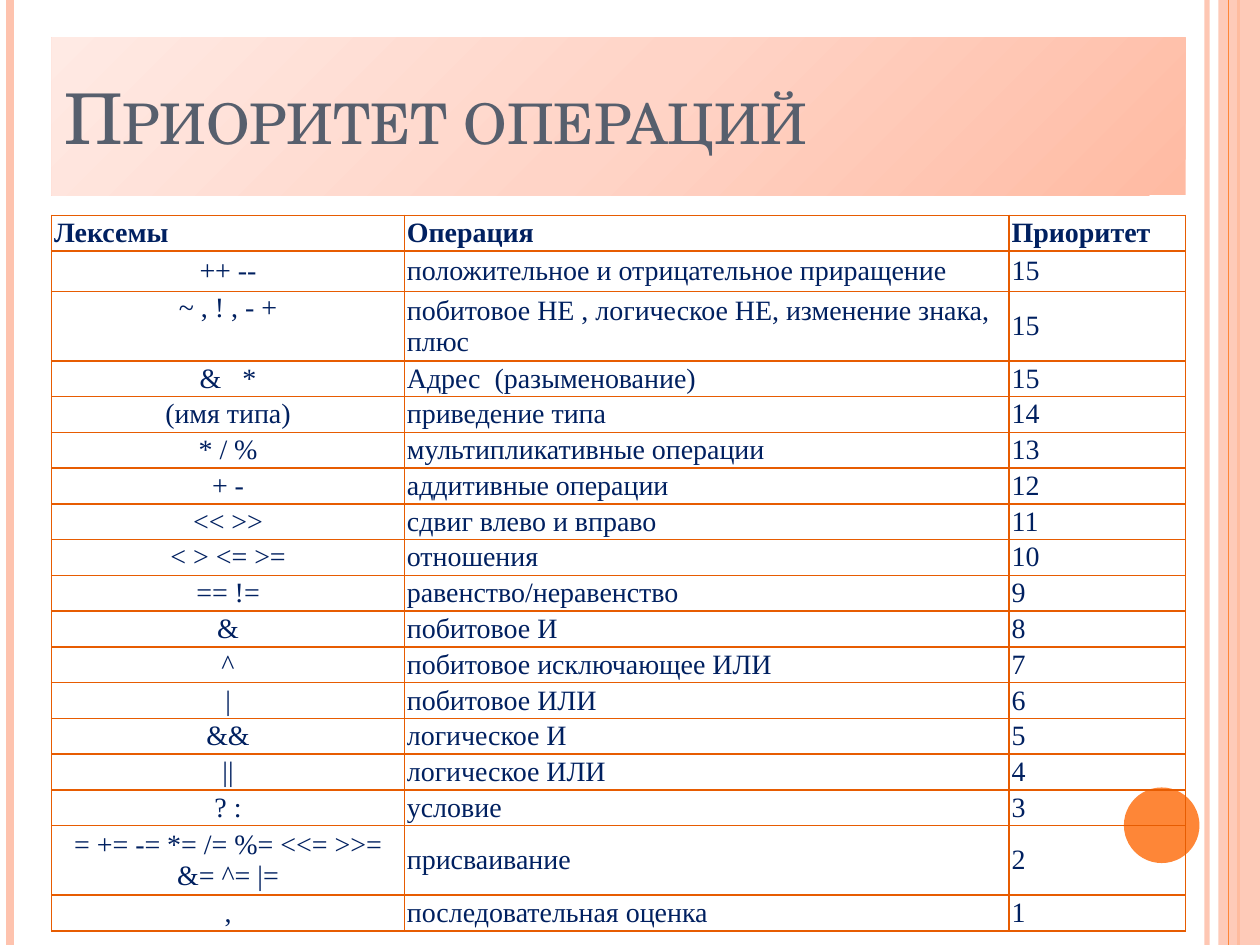
import copy
from dataclasses import dataclass

import pptx
import pptx.dml.color
import pptx.enum.shapes
import pptx.enum.text
import pptx.oxml.ns
import pptx.util
from lxml import etree

Inches = pptx.util.Inches
Pt = pptx.util.Pt
Shape = pptx.enum.shapes.MSO_SHAPE
Anchor = pptx.enum.text.MSO_ANCHOR
Align = pptx.enum.text.PP_ALIGN
qn = pptx.oxml.ns.qn


@dataclass(frozen=True)
class Theme:
    """Colours, fonts and type sizes."""
    pale: str = "FEC3AE"
    orange: str = "FE8637"
    border: str = "E75C01"
    ink: str = "002060"
    slate: str = "575F6D"
    blend: tuple = ("FFBBA3", "FFD4C7", "FFEAE4")
    head: str = "TeX Gyre Schola"
    body: str = "Times New Roman"
    big: int = 40
    small: int = 16


THEME = Theme()
ROWS = [
    ("Лексемы", "Операция", "Приоритет"),
    ("++ --", "положительное и отрицательное приращение", "15"),
    ("~ , ! , - +", "побитовое НЕ , логическое НЕ, изменение знака, плюс", "15"),
    ("&   *", "Адрес  (разыменование)", "15"),
    ("(имя типа)", "приведение типа", "14"),
    ("* / %", "мультипликативные операции", "13"),
    ("+ -", "аддитивные операции", "12"),
    ("<< >>", "сдвиг влево и вправо", "11"),
    ("< > <= >=", "отношения", "10"),
    ("== !=", "равенство/неравенство", "9"),
    ("&", "побитовое И", "8"),
    ("^", "побитовое исключающее ИЛИ", "7"),
    ("|", "побитовое ИЛИ", "6"),
    ("&&", "логическое И", "5"),
    ("||", "логическое ИЛИ", "4"),
    ("? :", "условие", "3"),
    ("= += -= *= /= %= <<= >>= &= ^= |=", "присваивание", "2"),
    (",", "последовательная оценка", "1"),
]
TALL = {1: 0.32, 2: 0.55, 16: 0.55}
COLS = (2.8, 4.8, 1.4)


def rgb(code):
    """Return the colour for a hex code."""
    return pptx.dml.color.RGBColor.from_string(code)


def fade(part, share):
    """Set the opacity of the colours in a part, in percent."""
    for node in part.iter(qn("a:srgbClr")):
        etree.SubElement(node, qn("a:alpha"), val=str(share * 1000))


def style(para, face, size, color, bold=False):
    """Set the font of a paragraph."""
    font = para.font
    font.name, font.size, font.bold = face, Pt(size), bold
    font.color.rgb = rgb(color)


def stripe(slide, box, x, color, width, share=100):
    """Draw a line down the box at an offset from its left."""
    left, top, _, height = box
    x = Inches(left + x)
    line = slide.shapes.add_connector(
        pptx.enum.shapes.MSO_CONNECTOR.STRAIGHT,
        x, Inches(top), x, Inches(top + height))
    line.line.color.rgb = rgb(color)
    line.line.width = Pt(width)
    etree.SubElement(line._element.spPr, qn("a:effectLst"))
    if share < 100:
        fade(line._element.spPr, share)


def solid(slide, kind, box, color):
    """Add a plain filled shape."""
    shape = slide.shapes.add_shape(kind, *map(Inches, box))
    shape.shadow.inherit = False
    shape.fill.solid()
    shape.fill.fore_color.rgb = rgb(color)
    shape.line.fill.background()
    return shape


def frame(slide, box):
    """Draw the side stripes and the disc."""
    left, top, width, height = box
    right = left + width
    stripe(slide, box, width - 0.42, THEME.pale, 3, 93)
    stripe(slide, box, 0.08, THEME.pale, 4.5)
    stripe(slide, box, width - 0.17, THEME.orange, 1.5)
    band = solid(slide, Shape.RECTANGLE, (right - 0.33, top, 0.33, height), THEME.pale)
    fade(band._element.spPr, 87)
    stripe(slide, box, width - 0.25, THEME.orange, 0.75)
    solid(slide, Shape.OVAL, (right - 1.08, top + 6.25, 0.6, 0.6), THEME.orange)


def title(slide, box, text):
    """Fill the title placeholder over a gradient."""
    shape = slide.shapes.title
    shape.left, shape.top, shape.width, shape.height = map(Inches, box)
    fill = shape.fill
    fill.gradient()
    fill.gradient_angle = 135
    first = shape._element.spPr.find(".//" + qn("a:gs"))
    first.addnext(copy.deepcopy(first))
    for stop, color, place in zip(fill.gradient_stops, THEME.blend, (0, 0.5, 1)):
        stop.color.rgb = rgb(color)
        stop.position = place
    body = shape.text_frame
    body.text = text
    body.word_wrap = True
    body.auto_size = pptx.enum.text.MSO_AUTO_SIZE.NONE
    body.vertical_anchor = Anchor.MIDDLE
    para = body.paragraphs[0]
    para.alignment = Align.LEFT
    style(para, THEME.head, THEME.big, THEME.slate)
    para.font._element.set("cap", "small")


def edge(cell):
    """Draw the four borders of a cell."""
    props = cell._tc.get_or_add_tcPr()
    for spot, side in enumerate(("lnL", "lnR", "lnT", "lnB")):
        line = etree.Element(qn("a:" + side), w=str(Pt(1)))
        fill = etree.SubElement(line, qn("a:solidFill"))
        etree.SubElement(fill, qn("a:srgbClr"), val=THEME.border)
        props.insert(spot, line)


def grid(slide, box):
    """Build the table of operators."""
    table = slide.shapes.add_table(len(ROWS), len(COLS), *map(Inches, box)).table
    table.first_row = table.horz_banding = False
    for col, width in zip(table.columns, COLS):
        col.width = Inches(width)
    short = (box[3] - sum(TALL.values())) / (len(ROWS) - len(TALL))
    for i, row in enumerate(ROWS):
        table.rows[i].height = Inches(TALL.get(i, short))
        for j, text in enumerate(row):
            cell = table.cell(i, j)
            cell.text = text
            cell.fill.background()
            cell.margin_left = cell.margin_right = Inches(0.02)
            cell.margin_top = cell.margin_bottom = Inches(0.01)
            cell.vertical_anchor = Anchor.TOP if (i, j) == (2, 0) else Anchor.MIDDLE
            para = cell.text_frame.paragraphs[0]
            para.alignment = Align.CENTER if i and j == 0 else Align.LEFT
            style(para, THEME.body, THEME.small, THEME.ink, i == 0)
            edge(cell)


def main():
    """Build and save the slide."""
    deck = pptx.Presentation()
    deck.slide_width, deck.slide_height = Inches(10), Inches(7.5)
    slide = deck.slides.add_slide(deck.slide_layouts[5])
    frame(slide, (0, 0, 10, 7.5))
    title(slide, (0.41, 0.3, 9, 1.25), "Приоритет операций")
    grid(slide, (0.41, 1.71, 9, 5.68))
    deck.save("out.pptx")


if __name__ == "__main__":
    main()
